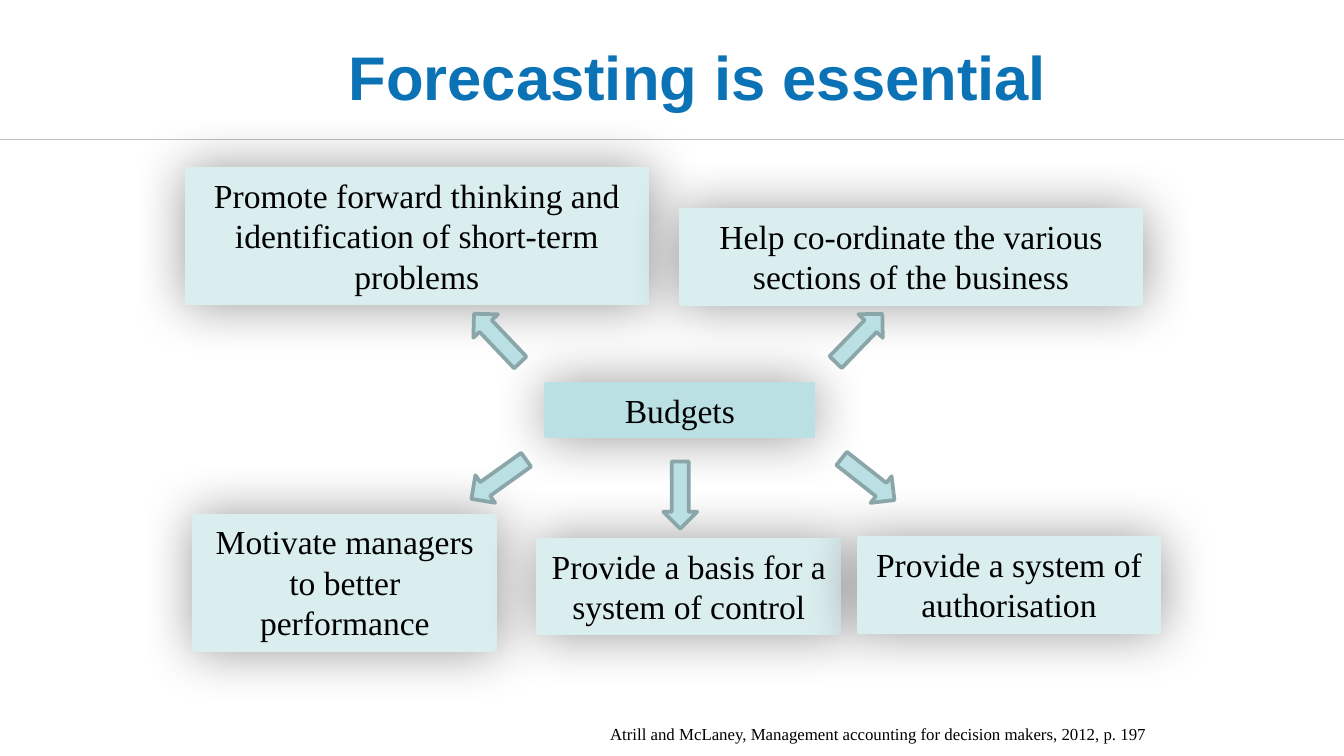
"""Build a slide on why forecasting is essential to budgets."""
from dataclasses import dataclass

from lxml.etree import SubElement
from pptx import Presentation
from pptx.dml.color import RGBColor
from pptx.enum.shapes import MSO_CONNECTOR, MSO_SHAPE
from pptx.enum.text import MSO_ANCHOR, MSO_AUTO_SIZE, PP_ALIGN
from pptx.oxml.ns import qn
from pptx.util import Cm, Pt

HUES = {"title": "0B72B5", "text": "000000", "core": "BBE0E3", "leaf": "DAEDEF",
        "edge": "8AA6A8", "rule": "BFBFBF", "shade": "000000"}
BODY = {"name": "Times New Roman", "size": Pt(18)}
NOTE = {"name": "Times New Roman", "size": Pt(9)}
HEAD = {"name": "Arial", "size": Pt(33), "bold": True}
FIT = {"word_wrap": True, "auto_size": MSO_AUTO_SIZE.SHAPE_TO_FIT_TEXT,
       "vertical_anchor": MSO_ANCHOR.TOP}
MID = {"word_wrap": True, "vertical_anchor": MSO_ANCHOR.MIDDLE}
WIDE, SLIM = 8.74, 5.72
TALL, LOW = 2.57, 1.8


@dataclass
class Box:
    text: str
    left: float
    top: float
    width: float
    height: float
    hue: str = "leaf"


@dataclass
class Arrow:
    left: float
    top: float
    turn: float


BOXES = [
    Box("Budgets", 10.31, 7.24, 5.08, 1.02, "core"),
    Box("Promote forward thinking and identification of short-term problems",
        3.51, 3.18, WIDE, TALL),
    Box("Help co-ordinate the various sections of the business", 12.85, 3.96, WIDE, LOW),
    Box("Motivate managers to better performance", 3.66, 9.73, SLIM, TALL),
    Box("Provide a basis for a system of control", 10.16, 10.19, SLIM, LOW),
    Box("Provide a system of authorisation", 16.21, 10.16, SLIM, LOW),
]
ARROWS = [
    Arrow(8.76, 6.07, 226.5),
    Arrow(15.6, 6.07, 314),
    Arrow(8.79, 8.74, 144.4),
    Arrow(12.22, 9.04, 90),
    Arrow(15.77, 8.74, 38.2),
]


def rgb(hue: str) -> RGBColor:
    """Return the named colour."""
    return RGBColor.from_string(HUES[hue])


def apply(target, form: dict) -> None:
    """Set each format value on the target."""
    for name, value in form.items():
        setattr(target, name, value)


def write(shape, text: str, font: dict, frame: dict, hue: str, align) -> None:
    """Put one styled paragraph in the shape."""
    apply(shape.text_frame, frame)
    line = shape.text_frame.paragraphs[0]
    line.text = text
    line.alignment = align
    apply(line.font, font)
    line.font.color.rgb = rgb(hue)


def paint(shape, fill: str, edge: str, width: float) -> None:
    """Give the shape a flat fill and an outline."""
    shape.shadow.inherit = False
    shape.fill.solid()
    shape.fill.fore_color.rgb = rgb(fill)
    shape.line.color.rgb = rgb(edge)
    shape.line.width = Pt(width)


def shade(shape) -> None:
    """Add a soft glow of shadow all round the shape."""
    effects = shape._element.spPr.find(qn("a:effectLst"))
    outer = SubElement(effects, qn("a:outerShdw"), blurRad=str(Pt(29)), dist="0",
                       dir="0", algn="ctr", rotWithShape="0")
    tint = SubElement(outer, qn("a:srgbClr"), val=HUES["shade"])
    SubElement(tint, qn("a:alpha"), val="40000")


def draw_box(slide, box: Box) -> None:
    """Draw a shaded box with centred text."""
    shape = slide.shapes.add_shape(MSO_SHAPE.RECTANGLE, Cm(box.left), Cm(box.top),
                                   Cm(box.width), Cm(box.height))
    paint(shape, box.hue, box.hue, 1.25)
    shade(shape)
    write(shape, box.text, BODY, FIT, "text", PP_ALIGN.CENTER)


def draw_arrow(slide, arrow: Arrow) -> None:
    """Draw a turned block arrow."""
    shape = slide.shapes.add_shape(MSO_SHAPE.RIGHT_ARROW, Cm(arrow.left), Cm(arrow.top),
                                   Cm(1.27), Cm(0.64))
    shape.rotation = arrow.turn
    paint(shape, "core", "edge", 2)


def draw_rule(slide, top: float, width: int) -> None:
    """Draw the thin rule below the title."""
    rule = slide.shapes.add_connector(MSO_CONNECTOR.STRAIGHT, 0, Cm(top), width, Cm(top))
    rule.line.color.rgb = rgb("rule")
    rule.line.width = Pt(0.75)
    SubElement(rule._element.spPr, qn("a:effectLst"))


def main() -> None:
    """Build and save the slide."""
    deck = Presentation()
    apply(deck, {"slide_width": Cm(25.4), "slide_height": Cm(14.29)})
    slide = deck.slides.add_slide(deck.slide_layouts[6])
    draw_rule(slide, 2.64, deck.slide_width)
    note = slide.shapes.add_textbox(Cm(11.28), Cm(13.56), Cm(10.95), Cm(0.64))
    write(note, "Atrill and McLaney, Management accounting for decision makers, 2012, p. 197",
          NOTE, FIT, "text", PP_ALIGN.LEFT)
    for box in BOXES:
        draw_box(slide, box)
    for arrow in ARROWS:
        draw_arrow(slide, arrow)
    title = slide.shapes.add_textbox(Cm(5.08), Cm(0.48), Cm(16.21), Cm(1.91))
    write(title, "Forecasting is essential", HEAD, MID, "title", PP_ALIGN.CENTER)
    deck.save("out.pptx")


if __name__ == "__main__":
    main()
